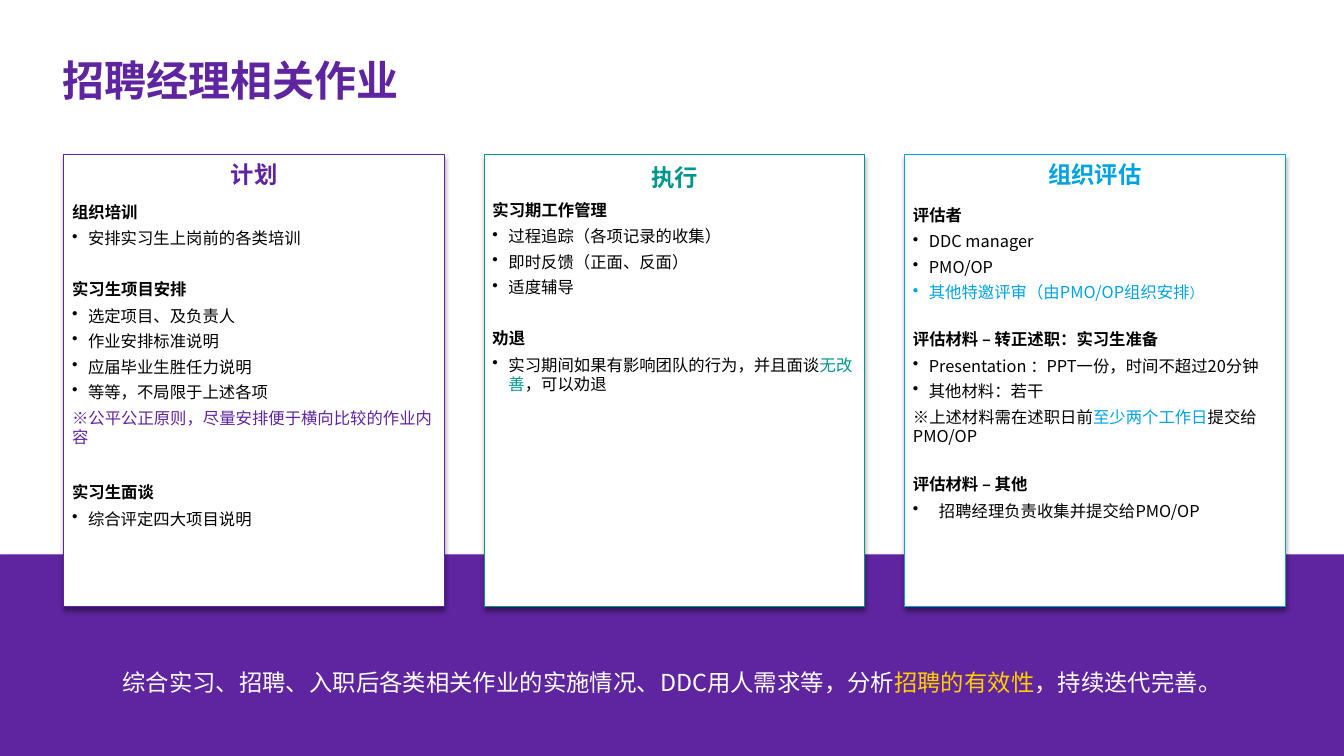
"""Builds the slide on the recruiting manager's tasks."""
import pptx
import pptx.util
import pptx.dml.color
import pptx.enum.shapes
import pptx.enum.text
import pptx.oxml.ns
import lxml.etree

Inches = pptx.util.Inches
Pt = pptx.util.Pt
ALIGN = pptx.enum.text.PP_ALIGN
FONT = "Noto Sans CJK SC"
COLORS = {
    "purple": "5F249F", "teal": "00968F", "blue": "00A3E1",
    "yellow": "FFCD00", "white": "FFFFFF", "black": "000000",
}
TITLE = "招聘经理相关作业"
SUMMARY = [
    ("综合实习、招聘、入职后各类相关作业的实施情况、DDC用人需求等，分析", "white"),
    ("招聘的有效性", "yellow"),
    ("，持续迭代完善。", "white"),
]
CARDS = [
    {"title": "计划", "color": "purple", "line": 25, "after": 8.4, "items": [
        ("head", "组织培训", 3.6),
        ("bullet", "安排实习生上岗前的各类培训"),
        ("head", "实习生项目安排", 24.3),
        ("bullet", "选定项目、及负责人"),
        ("bullet", "作业安排标准说明"),
        ("bullet", "应届毕业生胜任力说明"),
        ("bullet", "等等，不局限于上述各项"),
        ("note", [("※公平公正原则，尽量安排便于横向比较的作业内容", "purple")]),
        ("head", "实习生面谈", 27.7),
        ("bullet", "综合评定四大项目说明"),
    ]},
    {"title": "执行", "color": "teal", "line": 27.5, "after": 4.2, "items": [
        ("head", "实习期工作管理", 3.6),
        ("bullet", "过程追踪（各项记录的收集）"),
        ("bullet", "即时反馈（正面、反面）"),
        ("bullet", "适度辅导"),
        ("head", "劝退", 24.3),
        ("bullet", [("实习期间如果有影响团队的行为，并且面谈", "black"),
                    ("无改善", "teal"), ("，可以劝退", "black")]),
    ]},
    {"title": "组织评估", "color": "blue", "line": 25, "after": 11, "items": [
        ("head", "评估者", 3.6),
        ("bullet", "DDC manager"),
        ("bullet", "PMO/OP"),
        ("bullet", [("其他特邀评审（由PMO/OP组织安排", "blue"), ("）", "blue", 12)]),
        ("head", "评估材料 – 转正述职：实习生准备", 20.9),
        ("bullet", "Presentation ：PPT一份，时间不超过20分钟"),
        ("bullet", "其他材料：若干"),
        ("note", [("※上述材料需在述职日前", "black"), ("至少两个工作日", "blue"),
                  ("提交给PMO/OP", "black")]),
        ("head", "评估材料 – 其他", 21.7),
        ("wide bullet", "招聘经理负责收集并提交给PMO/OP"),
    ]},
]
INDENTS = {"bullet": 0.19, "wide bullet": 0.31}
CARD_LEFT, CARD_TOP, CARD_WIDTH, CARD_HEIGHT, CARD_PITCH = 0.76, 1.84, 4.53, 5.38, 5.005


def rgb(name):
    """Return the named colour."""
    return pptx.dml.color.RGBColor.from_string(COLORS[name])


def add_xml(parent, tag, **attributes):
    """Append a drawing element and return it."""
    return lxml.etree.SubElement(parent, pptx.oxml.ns.qn(tag), attributes)


def write(paragraph, content, size, color="black", bold=False, align=ALIGN.LEFT,
          line=None, before=0, after=0):
    """Fill one paragraph with text or with coloured runs."""
    paragraph.alignment = align
    paragraph.space_before, paragraph.space_after = Pt(before), Pt(after)
    if line:
        paragraph.line_spacing = Pt(line)
    font = paragraph.font
    font.name, font.size, font.bold = FONT, Pt(size), bold
    font.color.rgb = rgb(color)
    defaults = paragraph._p.pPr.find(pptx.oxml.ns.qn("a:defRPr"))
    add_xml(defaults, "a:ea", typeface=FONT)
    runs = [(content, color)] if isinstance(content, str) else content
    for text, run_color, *run_size in runs:
        run = paragraph.add_run()
        run.text = text
        if run_color != color:
            run.font.color.rgb = rgb(run_color)
        if run_size:
            run.font.size = Pt(run_size[0])


def add_bullet(paragraph, indent):
    """Give a paragraph a hanging bullet."""
    properties = paragraph._p.pPr
    properties.set("marL", str(Inches(indent)))
    properties.set("indent", str(-Inches(indent)))
    bullet = add_xml(properties, "a:buChar", char="•")
    properties.find(pptx.oxml.ns.qn("a:defRPr")).addprevious(bullet)


def add_panel(slide, left, top, width, height, fill, line=None):
    """Add a rectangle with a soft shadow below it."""
    shape = slide.shapes.add_shape(
        pptx.enum.shapes.MSO_SHAPE.RECTANGLE,
        Inches(left), Inches(top), Inches(width), Inches(height))
    shape.fill.solid()
    shape.fill.fore_color.rgb = rgb(fill)
    if line:
        shape.line.color.rgb = rgb(line)
        shape.line.width = Pt(0.75)
    else:
        shape.line.fill.background()
    shape.shadow.inherit = False
    effects = shape._element.spPr.find(pptx.oxml.ns.qn("a:effectLst"))
    shadow = add_xml(effects, "a:outerShdw", blurRad=str(Pt(4)), dist=str(Pt(3)),
                     dir="5400000", algn="t", rotWithShape="0")
    shade = add_xml(shadow, "a:srgbClr", val=COLORS["black"])
    add_xml(shade, "a:alpha", val="40000")
    shape.text_frame.word_wrap = True
    return shape


def add_card(slide, index, card):
    """Add one column with its heading and items."""
    shape = add_panel(slide, CARD_LEFT + index * CARD_PITCH, CARD_TOP,
                      CARD_WIDTH, CARD_HEIGHT, "white", card["color"])
    frame = shape.text_frame
    frame.vertical_anchor = pptx.enum.text.MSO_ANCHOR.TOP
    write(frame.paragraphs[0], card["title"], 20, card["color"], True,
          ALIGN.CENTER, card["line"], after=card["after"])
    for kind, content, *gap in card["items"]:
        paragraph = frame.add_paragraph()
        is_head = kind == "head"
        write(paragraph, content, 14, bold=is_head, line=17,
              before=gap[0] if gap else 2.4, after=3.2 if is_head else 2.4)
        if kind in INDENTS:
            add_bullet(paragraph, INDENTS[kind])


def main():
    """Build and save the slide."""
    presentation = pptx.Presentation()
    presentation.slide_width, presentation.slide_height = Inches(16), Inches(9)
    slide = presentation.slides.add_slide(presentation.slide_layouts[6])

    band = add_panel(slide, 0, 6.6, 16, 2.4, "purple").text_frame
    band.vertical_anchor = pptx.enum.text.MSO_ANCHOR.MIDDLE
    band.margin_top = Inches(0.7)
    write(band.paragraphs[0], SUMMARY, 20, "white", align=ALIGN.CENTER)

    title = slide.shapes.add_textbox(
        Inches(0.75), Inches(0.7), Inches(14.5), Inches(1.55)).text_frame
    title.word_wrap = True
    title.margin_left = title.margin_top = title.margin_right = title.margin_bottom = 0
    write(title.paragraphs[0], TITLE, 36, "purple", True, line=39.5)

    for index, card in enumerate(CARDS):
        add_card(slide, index, card)
    presentation.save("out.pptx")


if __name__ == "__main__":
    main()
